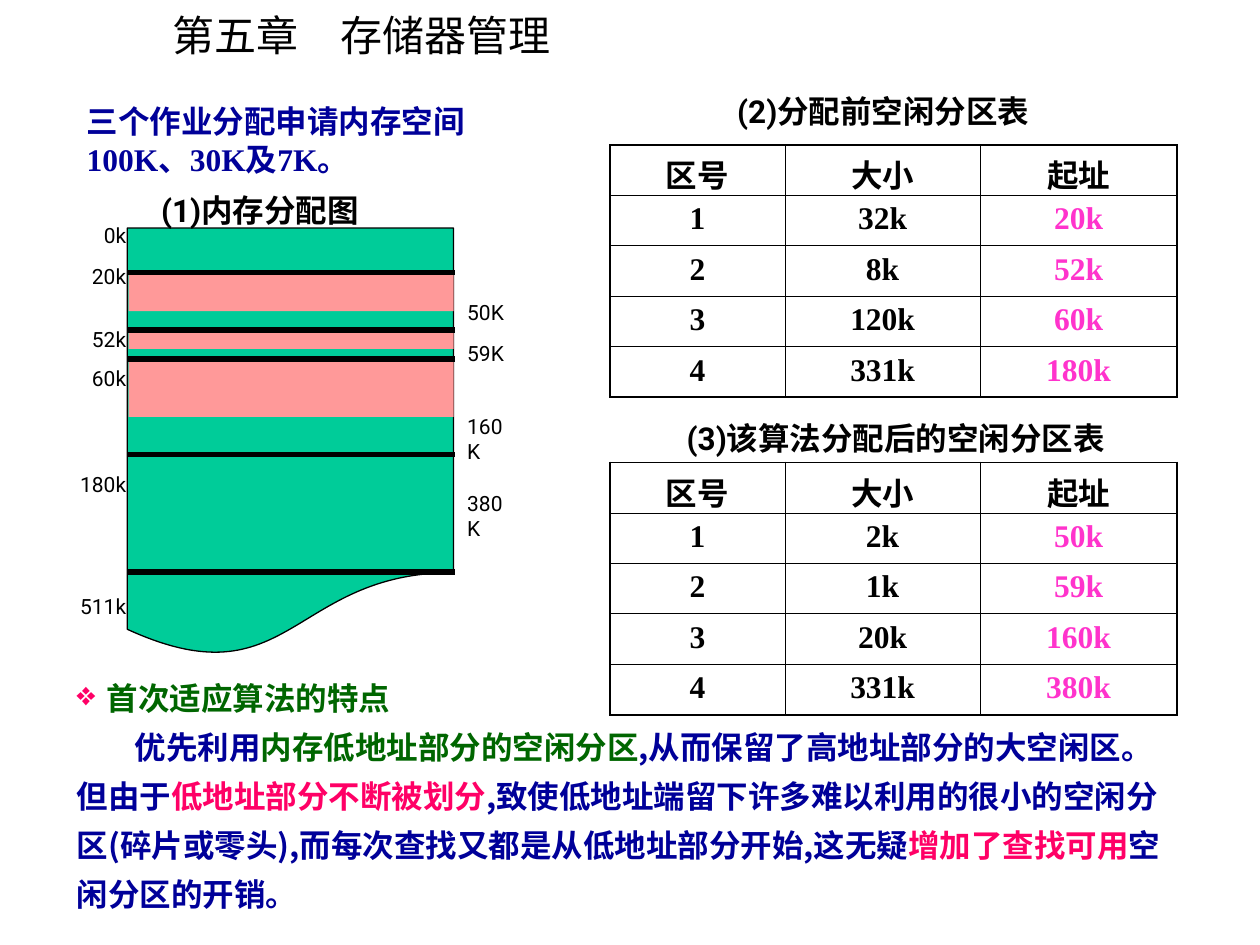
from lxml import etree
from pptx import Presentation
from pptx import util as u
from pptx.dml.color import RGBColor
from pptx.enum import shapes, text
from pptx.oxml.ns import qn

BLACK = RGBColor(0x00, 0x00, 0x00)
NAVY = RGBColor(0x00, 0x00, 0x99)
DARK_GREEN = RGBColor(0x00, 0x66, 0x00)
TEAL = RGBColor(0x00, 0xCC, 0x99)
SALMON = RGBColor(0xFF, 0x99, 0x99)
MAGENTA = RGBColor(0xFF, 0x33, 0xCC)
CRIMSON = RGBColor(0xFF, 0x00, 0x66)

ROBOTO, TIMES, CJK = "Roboto", "Times New Roman", "Noto Sans CJK SC"
LEFT, CENTER, RIGHT = text.PP_ALIGN.LEFT, text.PP_ALIGN.CENTER, text.PP_ALIGN.RIGHT
HEADER = ("区号", "大小", "起址")
COLUMNS = (1.39, 1.55, 1.56)
ROW_HEIGHT = 0.4
THICK, THIN = 1.08, 0.45


def inches(values):
    return [u.Inches(value) for value in values]


def set_all(target, values):
    for name, value in values.items():
        setattr(target, name, value)


def add_span(para, words, color=BLACK, name=ROBOTO, size=18, bold=True):
    span = para.add_run()
    span.text = words
    set_all(span.font, {"name": name, "size": u.Pt(size), "bold": bold})
    span.font.color.rgb = color
    east_asian = etree.SubElement(span.font._element, qn("a:ea"))
    east_asian.set("typeface", CJK)


def add_box(page, place, wrap=True):
    box = page.shapes.add_textbox(*inches(place))
    set_all(box.text_frame, {
        "word_wrap": wrap,
        "auto_size": text.MSO_AUTO_SIZE.SHAPE_TO_FIT_TEXT,
    })
    return box.text_frame


def add_caption(page, place, words, align=CENTER, wrap=True, **style):
    para = add_box(page, place, wrap).paragraphs[0]
    para.alignment = align
    add_span(para, words, **style)


def add_addresses(page, place, align, first_spacing, labels):
    frame = add_box(page, place)
    for index, (label, gap) in enumerate(labels):
        para = frame.add_paragraph() if index else frame.paragraphs[0]
        para.alignment = align
        if index:
            para.space_before = u.Pt(gap)
        else:
            para.line_spacing = first_spacing
        add_span(para, label, size=12, bold=False)


def add_block(page, kind, place, color, outlined=False):
    block = page.shapes.add_shape(kind, *inches(place))
    block.shadow.inherit = False
    block.fill.solid()
    block.fill.fore_color.rgb = color
    if outlined:
        block.line.color.rgb = BLACK
        block.line.width = u.Pt(0.75)
    else:
        block.line.fill.background()


def add_divider(page, y):
    divider = page.shapes.add_connector(
        shapes.MSO_CONNECTOR.STRAIGHT, *inches((1.02, y, 3.61, y)))
    divider.line.color.rgb = BLACK
    divider.line.width = u.Pt(3)
    etree.SubElement(divider._element.spPr, qn("a:effectLst"))


def add_border(cell, side, width):
    properties = cell._tc.get_or_add_tcPr()
    border = etree.SubElement(properties, qn(f"a:ln{side}"), w=str(u.Pt(width)))
    fill = etree.SubElement(border, qn("a:solidFill"))
    etree.SubElement(fill, qn("a:srgbClr"), val=str(BLACK))


def add_partitions(page, top, partitions):
    rows = [HEADER] + [(str(number), *entry)
                       for number, entry in enumerate(partitions, 1)]
    last_row, last_column = len(rows) - 1, len(COLUMNS) - 1
    place = (4.84, top, sum(COLUMNS), ROW_HEIGHT * len(rows))
    table = page.shapes.add_table(len(rows), len(COLUMNS), *inches(place)).table
    set_all(table, {"first_row": False, "horz_banding": False})
    for column, width in zip(table.columns, COLUMNS):
        column.width = u.Inches(width)
    for r, row in enumerate(rows):
        table.rows[r].height = u.Inches(ROW_HEIGHT)
        for c, words in enumerate(row):
            cell = table.cell(r, c)
            edges = {"L": c == 0, "R": c == last_column,
                     "T": r == 0, "B": r == last_row}
            for side, outer in edges.items():
                add_border(cell, side, THICK if outer else THIN)
            cell.fill.background()
            para = cell.text_frame.paragraphs[0]
            para.alignment = CENTER
            color = MAGENTA if r and c == last_column else BLACK
            add_span(para, words, color, TIMES)


def add_memory_map(page):
    add_block(page, shapes.MSO_SHAPE.FLOWCHART_DOCUMENT,
              (1.01, 1.81, 2.59, 3.41), TEAL, outlined=True)
    for top, height in ((2.16, 0.31), (2.62, 0.15), (2.85, 0.46)):
        add_block(page, shapes.MSO_SHAPE.RECTANGLE,
                  (1.02, top, 2.58, height), SALMON)
    for y in (2.16, 2.62, 2.85, 3.61, 4.54):
        add_divider(page, y)
    add_addresses(page, (0.27, 1.7, 0.83, 3.24), RIGHT, 1.1, (
        ("0k", 0), ("20k", 8.8), ("52k", 21.9),
        ("60k", 7.6), ("180k", 46.5), ("511k", 55)))
    add_addresses(page, (3.61, 2.23, 0.58, 2.16), LEFT, 1.5, (
        ("50K", 0), ("59K", 8.8), ("160K", 27.6), ("380K", 15)))


def indent(para, margin, first_line):
    properties = para._p.get_or_add_pPr()
    properties.set("marL", str(u.Inches(margin)))
    properties.set("indent", str(u.Inches(first_line)))
    return properties


def add_features(page):
    frame = add_box(page, (0.51, 5.25, 8.98, 2.05))
    heading, body = frame.paragraphs[0], frame.add_paragraph()
    heading.line_spacing = body.line_spacing = 1.3
    properties = indent(heading, 0.24, -0.24)
    color = etree.SubElement(properties, qn("a:buClr"))
    etree.SubElement(color, qn("a:srgbClr"), val=str(CRIMSON))
    etree.SubElement(properties, qn("a:buSzPct"), val="105000")
    etree.SubElement(properties, qn("a:buChar"), char="❖")
    add_span(heading, "首次适应算法的特点", DARK_GREEN)
    indent(body, 0, 0.46)
    for words, color in (
        ("优先利用", NAVY),
        ("内存低地址部分的空闲分区", DARK_GREEN),
        (",从而保留了高地址部分的大空闲区。但由于", NAVY),
        ("低地址部分不断被划分", CRIMSON),
        (",致使低地址端留下许多难以利用的很小的空闲分区(碎片或零头),"
         "而每次查找又都是从低地址部分开始,这无疑", NAVY),
        ("增加了查找可用", CRIMSON),
        ("空闲分区的开销。", NAVY),
    ):
        add_span(body, words, color, CJK)


def main():
    deck = Presentation()
    deck.slide_width, deck.slide_height = inches((10, 7.5))
    page = deck.slides.add_slide(deck.slide_layouts[6])
    add_caption(page, (1.27, 0.03, 3.27, 0.5), "第五章\u3000存储器管理".replace("\u3000", "　"),
                LEFT, wrap=False, name=CJK, size=24, bold=False)
    add_caption(page, (0.59, 0.76, 3.86, 0.7),
                "三个作业分配申请内存空间100K、30K及7K。",
                LEFT, color=NAVY, name=TIMES)
    add_memory_map(page)
    add_caption(page, (1.18, 1.47, 2.22, 0.4), "(1)内存分配图", LEFT)
    add_caption(page, (5.47, 0.68, 3.08, 0.4), "(2)分配前空闲分区表")
    add_partitions(page, 1.15, (
        ("32k", "20k"), ("8k", "52k"), ("120k", "60k"), ("331k", "180k")))
    add_caption(page, (4.61, 3.28, 5, 0.4), "(3)该算法分配后的空闲分区表")
    add_partitions(page, 3.67, (
        ("2k", "50k"), ("1k", "59k"), ("20k", "160k"), ("331k", "380k")))
    add_features(page)
    deck.save("out.pptx")


if __name__ == "__main__":
    main()
